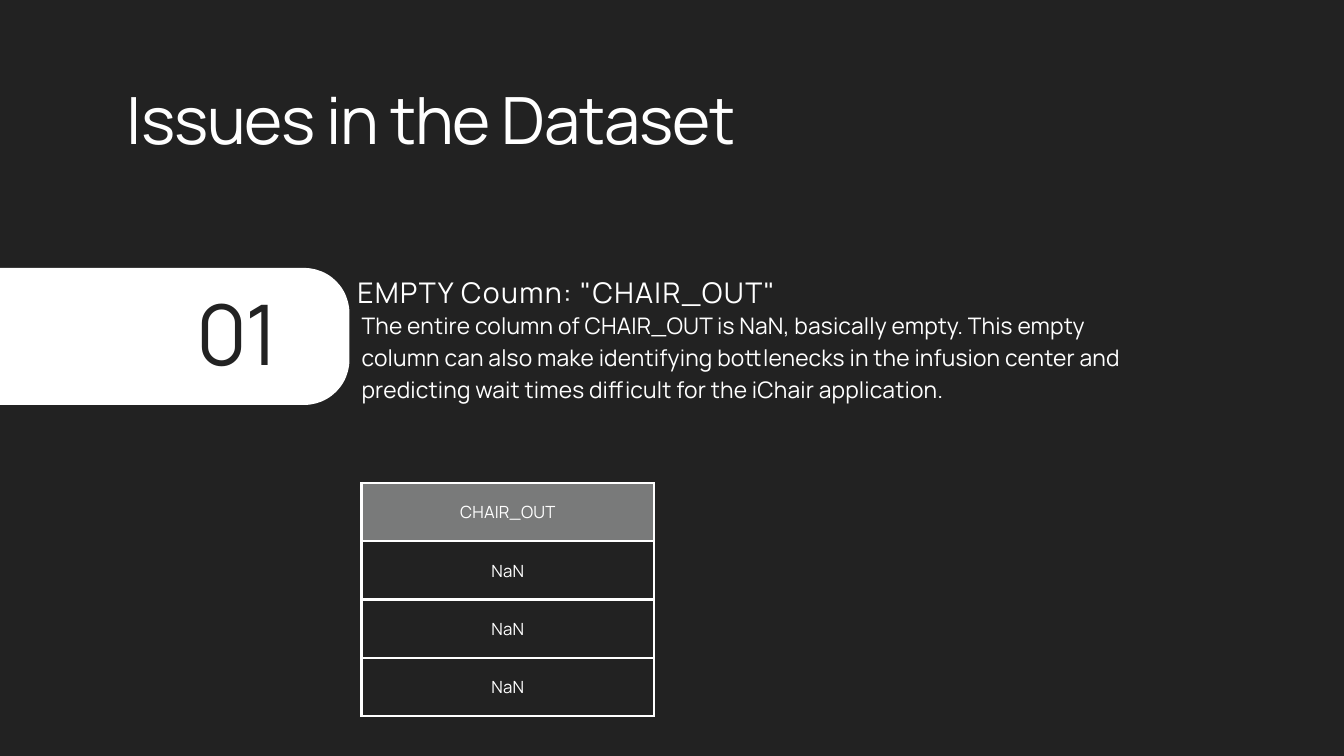
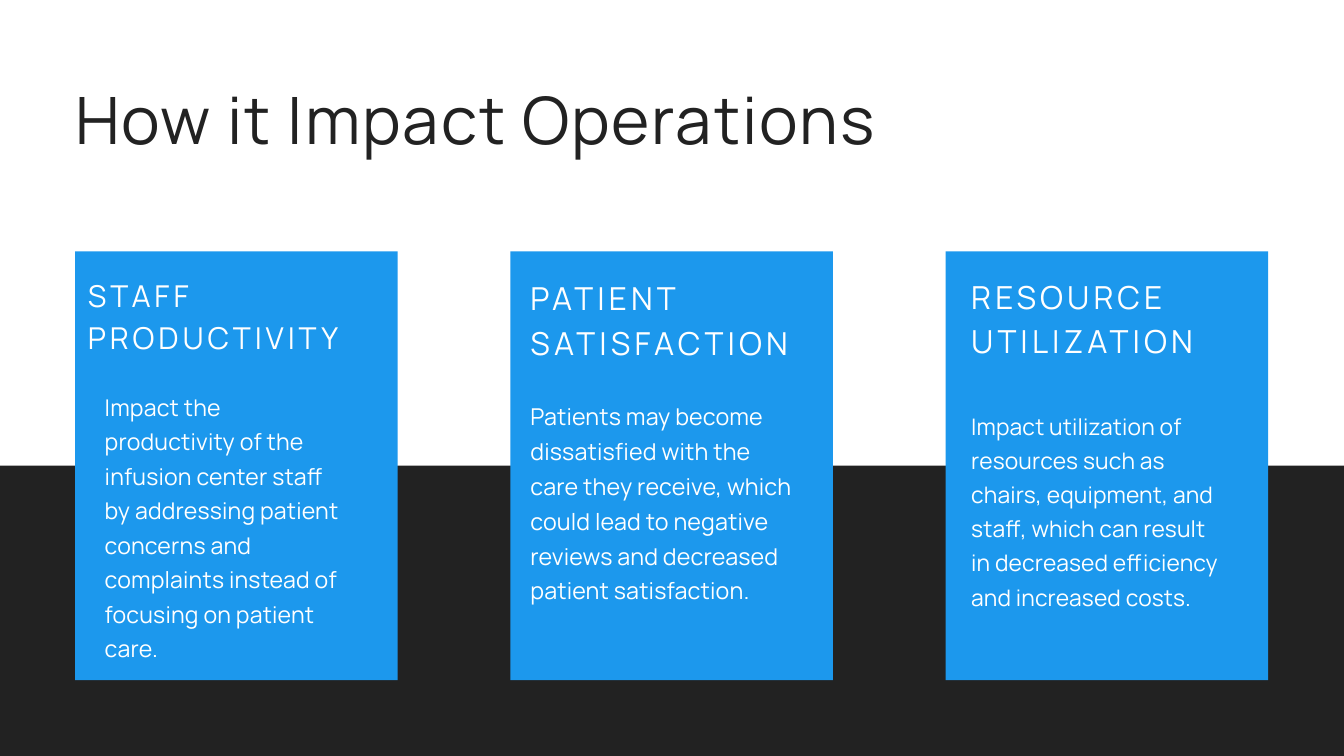
from lxml.etree import SubElement
from pptx import Presentation
from pptx.dml.color import RGBColor
from pptx.enum.shapes import MSO_SHAPE
from pptx.enum.text import MSO_ANCHOR, MSO_AUTO_SIZE, PP_ALIGN
from pptx.oxml.ns import qn
from pptx.util import Cm, Pt

FONT = "Manrope"
DARK, WHITE, BLUE, GREY = "222222", "FFFFFF", "1C98ED", "797A7A"
WIDE, HIGH = 50.8, 28.58
TITLE_TOP, TITLE_HIGH = 2.49, 3.33

ISSUE = {
    "title": "Issues in the Dataset",
    "number": "01",
    "head": 'EMPTY Coumn: "CHAIR_OUT"',
    "body": "The entire column of CHAIR_OUT is NaN, basically empty. This empty "
            "column can also make identifying bottlenecks in the infusion center and "
            "predicting wait times difficult for the iChair application.",
    "rows": ["CHAIR_OUT", "NaN", "NaN", "NaN"],
}

IMPACT = "How it Impact Operations"
# Each part: text, size, inset from the card's left, top, width, height
CARDS = [
    (("STAFF PRODUCTIVITY", 32.3, 0.48, 10.24, 10.16, 3.15),
     ("Impact the productivity of the infusion center staff by addressing patient "
      "concerns and complaints instead of focusing on patient care.",
      24.7, 1.12, 14.6, 8.92, 10.41)),
    (("PATIENT SATISFACTION", 33.9, 0.76, 10.31, 10.13, 3.23),
     ("Patients may become dissatisfied with the care they receive, which could "
      "lead to negative reviews and decreased patient satisfaction.",
      24.9, 0.76, 14.96, 10.13, 9.14)),
    (("RESOURCE UTILIZATION", 34, 0.97, 10.26, 8.74, 3.28),
     ("Impact utilization of resources such as chairs, equipment, and staff, which "
      "can result in decreased efficiency and increased costs.",
      24.4, 0.97, 15.34, 9.37, 8.97)),
]
CARD_LEFT, CARD_TOP, CARD_WIDE, CARD_HIGH, CARD_STEP = 2.84, 9.5, 12.19, 16.21, 16.45


def rgb(code):
    return RGBColor.from_string(code)


def paint(fill, code):
    fill.solid()
    fill.fore_color.rgb = rgb(code)


def write(frame, text, size, color=WHITE, space=0.2, lead=1.4):
    """Put one run in the frame; lead is the line height over the size."""
    para = frame.paragraphs[0]
    para.line_spacing = Pt(round(size * lead, 1))
    run = para.add_run()
    run.text = text
    font = run.font
    font.name, font.size, font.color.rgb = FONT, Pt(size), rgb(color)
    run._r.get_or_add_rPr().set("spc", str(round(space * 100)))
    return para


def label(slide, box, text, size, **style):
    frame = slide.shapes.add_textbox(*map(Cm, box)).text_frame
    frame.word_wrap = True
    frame.auto_size = MSO_AUTO_SIZE.SHAPE_TO_FIT_TEXT
    frame.margin_left = frame.margin_right = frame.margin_top = frame.margin_bottom = 0
    write(frame, text, size, **style)


def block(slide, box, color, kind=MSO_SHAPE.RECTANGLE):
    shape = slide.shapes.add_shape(kind, *map(Cm, box))
    shape.shadow.inherit = False
    paint(shape.fill, color)
    shape.line.fill.background()
    return shape


def start(deck, back):
    slide = deck.slides.add_slide(deck.slide_layouts[6])
    paint(slide.background.fill, back)
    return slide


def title(slide, left, wide, text, size, **style):
    label(slide, (left, TITLE_TOP, wide, TITLE_HIGH), text, size, **style)


def edge(cell, color, width):
    """Draw all four borders of a cell."""
    props = cell._tc.get_or_add_tcPr()
    for side in "LRTB":
        line = SubElement(props, qn(f"a:ln{side}"), w=str(Pt(width)))
        fill = SubElement(line, qn("a:solidFill"))
        SubElement(fill, qn("a:srgbClr"), val=color)


def grid(slide, box, rows):
    table = slide.shapes.add_table(len(rows), 1, *map(Cm, box)).table
    table.first_row = table.horz_banding = False
    for i, text in enumerate(rows):
        cell = table.cell(i, 0)
        edge(cell, WHITE, 3)
        paint(cell.fill, DARK if i else GREY)
        cell.vertical_anchor = MSO_ANCHOR.MIDDLE
        cell.margin_left = cell.margin_right = Cm(0.53)
        cell.margin_top = cell.margin_bottom = Cm(0.53)
        write(cell.text_frame, text, 18).alignment = PP_ALIGN.CENTER


def issue(deck):
    slide = start(deck, DARK)
    badge = block(slide, (-8.89, 10.13, 22.1, 5.18), WHITE, MSO_SHAPE.ROUNDED_RECTANGLE)
    badge.adjustments[0] = 0.33
    grid(slide, (13.67, 18.26, 11.05, 8.81), ISSUE["rows"])
    label(slide, (13.67, 11.63, 30.02, 3.53), ISSUE["body"], 24.4)
    label(slide, (13.51, 10.19, 17.88, 1.4), ISSUE["head"], 30.5, space=1.5)
    label(slide, (7.42, 10.01, 3.94, 4.27), ISSUE["number"], 89.6, color=DARK, space=-1.5)
    title(slide, 4.8, 30.78, ISSUE["title"], 69.8, space=-1.2)


def impact(deck):
    slide = start(deck, WHITE)
    block(slide, (-0.56, 17.6, 51.89, 11.51), DARK)
    title(slide, CARD_LEFT, 39.27, IMPACT, 70, color=DARK, space=2.1)
    for i, (head, body) in enumerate(CARDS):
        left = CARD_LEFT + i * CARD_STEP
        block(slide, (left, CARD_TOP, CARD_WIDE, CARD_HIGH), BLUE)
        text, size, inset, *rest = head
        label(slide, (left + inset, *rest), text, size, space=0.13 * size)
        text, size, inset, *rest = body
        label(slide, (left + inset, *rest), text, size, lead=1.5)


def main():
    deck = Presentation()
    deck.slide_width, deck.slide_height = Cm(WIDE), Cm(HIGH)
    issue(deck)
    impact(deck)
    deck.save("out.pptx")


if __name__ == "__main__":
    main()
